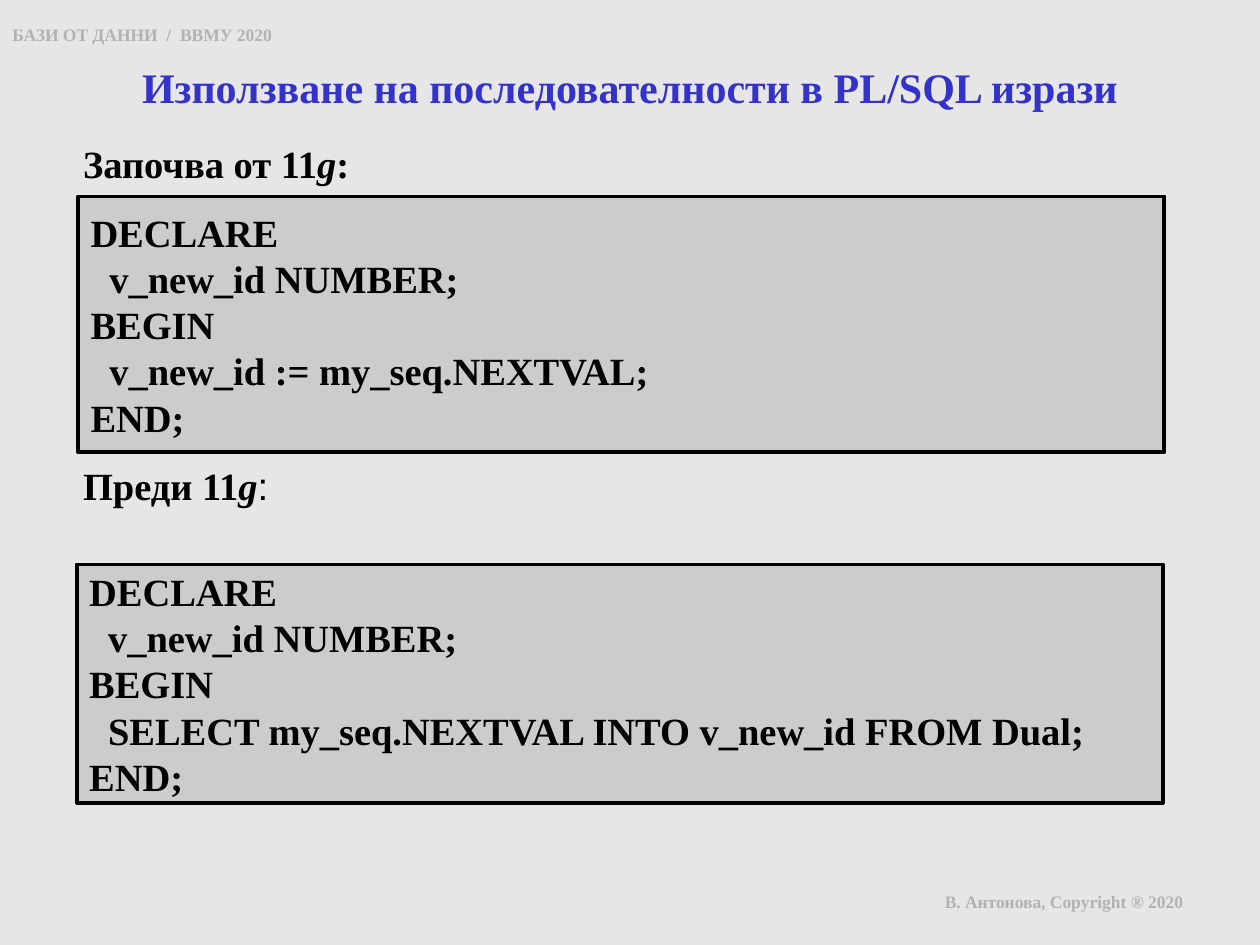
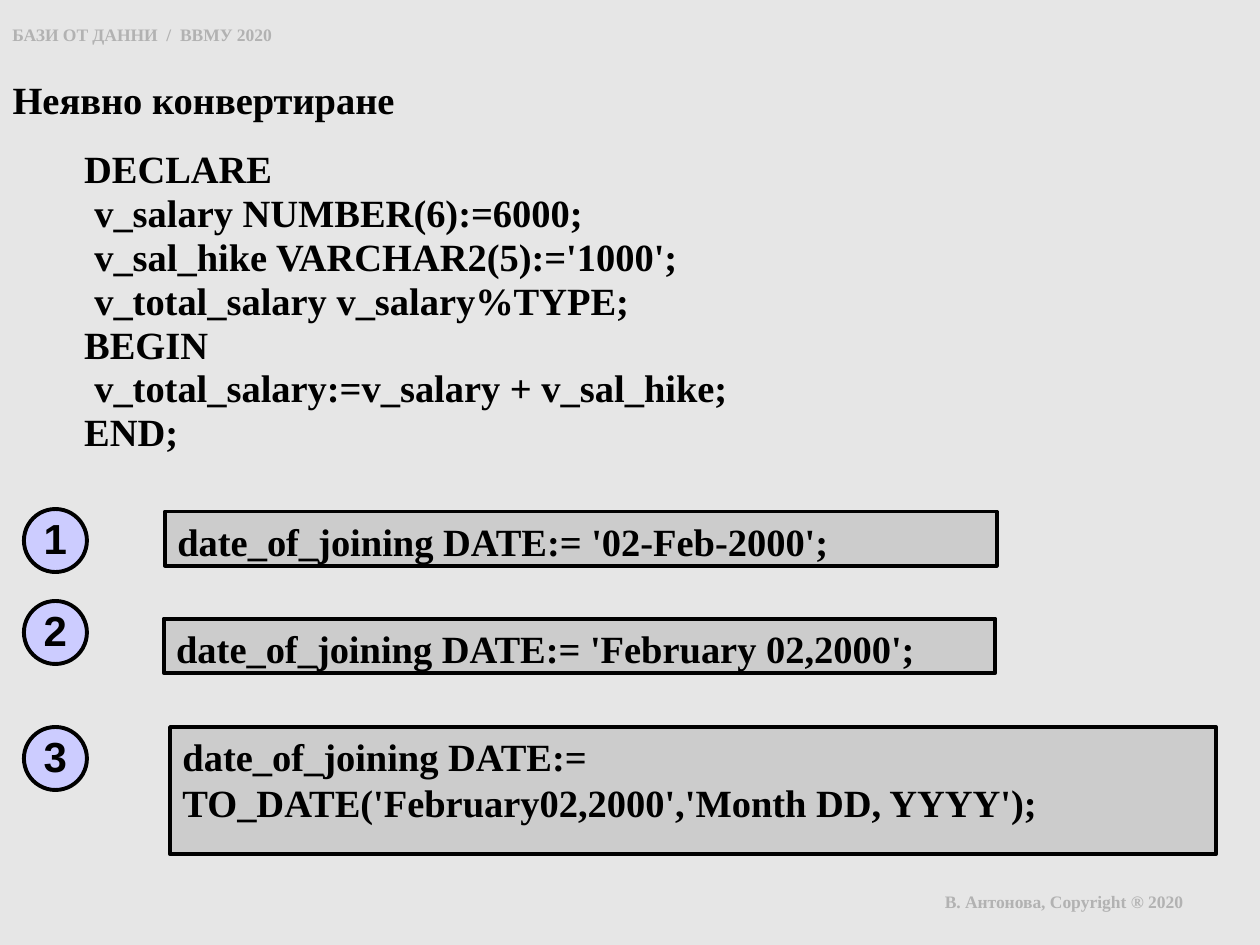
from pptx import Presentation
from pptx.dml.color import RGBColor
from pptx.enum.shapes import MSO_SHAPE
from pptx.enum.text import MSO_ANCHOR, MSO_AUTO_SIZE, PP_ALIGN
from pptx.util import Inches, Pt

SERIF = "Times New Roman"
BLACK, GREY, BLUE = "000000", "B2B2B2", "3333CC"
PAPER, PANEL, LILAC = "E6E6E6", "CCCCCC", "CCCCFF"
TOP, MIDDLE = MSO_ANCHOR.TOP, MSO_ANCHOR.MIDDLE


def paint(target, color):
    """Give a fill or a font colour a hex value."""
    if hasattr(target, "solid"):
        target.solid()
        target = target.fore_color
    target.rgb = RGBColor.from_string(color)


def write(shape, text, size=22, color=BLACK, font=SERIF, align=PP_ALIGN.LEFT,
          anchor=TOP, pad=(0.1, 0.05), wrap=True, space=1.0, step=0):
    """Fill a shape with bold text; a tab at a line's start indents it by step."""
    frame = shape.text_frame
    frame.auto_size = MSO_AUTO_SIZE.NONE
    frame.word_wrap = wrap
    frame.vertical_anchor = anchor
    frame.margin_left = frame.margin_right = Inches(pad[0])
    frame.margin_top = frame.margin_bottom = Inches(pad[1])
    lines = text.split("\n")
    frame.text = "\n".join(line.lstrip("\t") for line in lines)
    for line, par in zip(lines, frame.paragraphs):
        par.alignment = align
        par.line_spacing = space
        if line.startswith("\t"):
            par._p.get_or_add_pPr().set("marL", str(Inches(step)))
        for run in par.runs:
            run.font.name, run.font.size, run.font.bold = font, Pt(size), True
            paint(run.font.color, color)


# Page, background and the texts on every slide
deck = Presentation()
deck.slide_width, deck.slide_height = Inches(10), Inches(7.5)
paint(deck.slide_master.background.fill, PAPER)
bands = [
    ("БАЗИ ОТ ДАННИ  /  ВВМУ 2020", (0, 0.14, 2.99, 0.27)),
    ("В. Антонова, Copyright ® 2020", (7.4, 7.02, 2.6, 0.42)),
]
heads = [
    ("Използване на последователности в PL/SQL изрази", (0.67, 0.48, 8.66, 1.08),
     dict(size=24, color=BLUE, align=PP_ALIGN.CENTER, pad=(0.01, 0.01))),
    ("Неявно конвертиране", (0, 0.55, 3.26, 0.47), dict(wrap=False)),
]
slides = []
for head, place, style in heads:
    slide = deck.slides.add_slide(deck.slide_layouts[5])
    for band, spot in bands:
        write(slide.shapes.add_textbox(*map(Inches, spot)), band, size=10, color=GREY)
    title = slide.shapes.title
    title.left, title.top, title.width, title.height = map(Inches, place)
    write(title, head, **style)
    slides.append(slide)
first, second = slides

# Slide 1: labels above the code panels
for label, top in [("Започва от 11", 1.1), ("Преди 11", 3.66)]:
    box = first.shapes.add_textbox(Inches(0.65), Inches(top), Inches(8.66), Inches(0.4))
    write(box, label, pad=(0.01, 0.01))
    par = box.text_frame.paragraphs[0]
    for text in "g:":
        run = par.add_run()
        run.text = text
        run.font.name, run.font.size = SERIF, Pt(22)
        run.font.bold, run.font.italic = True, text == "g"
        paint(run.font.color, BLACK)
# The second label ends in a light Arial colon
run.font.name, run.font.bold = "Arial", False

# Slide 2: the conversion code
code = """DECLARE
\tv_salary NUMBER(6):=6000;
\tv_sal_hike VARCHAR2(5):='1000';
\tv_total_salary v_salary%TYPE;
BEGIN
\tv_total_salary:=v_salary + v_sal_hike;
END;"""
box = second.shapes.add_textbox(Inches(0.57), Inches(1.13), Inches(5.75), Inches(2.56))
write(box, code, space=0.95, step=0.08)

# Code panels on both slides and numbered discs on slide 2
block = "DECLARE\n\tv_new_id NUMBER;\nBEGIN\n\t{}\nEND;"
wide = dict(anchor=MIDDLE, pad=(0.1, 0.01), step=0.15)
disc = dict(size=24, font="Arial", align=PP_ALIGN.CENTER, anchor=MIDDLE,
            pad=(0.05, 0.05), wrap=False, space=0.95)
rect, oval = MSO_SHAPE.RECTANGLE, MSO_SHAPE.OVAL
panels = [
    (first, rect, (0.61, 4.48, 8.62, 1.89),
     block.format("SELECT my_seq.NEXTVAL INTO v_new_id FROM Dual;"), wide),
    (first, rect, (0.62, 1.56, 8.62, 2.03),
     block.format("v_new_id := my_seq.NEXTVAL;"), wide),
    (second, rect, (1.31, 4.06, 6.6, 0.43), "date_of_joining DATE:= '02-Feb-2000';", {}),
    (second, rect, (1.3, 4.91, 6.6, 0.43), "date_of_joining DATE:= 'February 02,2000';", {}),
    (second, rect, (1.35, 5.77, 8.3, 1.01),
     "date_of_joining DATE:= TO_DATE('February02,2000','Month DD, YYYY');", {}),
]
for num, top in enumerate([4.04, 4.77, 5.77], 1):
    panels.append((second, oval, (0.19, top, 0.5, 0.5), str(num), disc))
for slide, kind, place, text, style in panels:
    shape = slide.shapes.add_shape(kind, *map(Inches, place))
    shape.shadow.inherit = False
    paint(shape.fill, LILAC if kind == oval else PANEL)
    paint(shape.line.fill, BLACK)
    shape.line.width = Pt(2.25)
    write(shape, text, **style)

deck.save("out.pptx")
